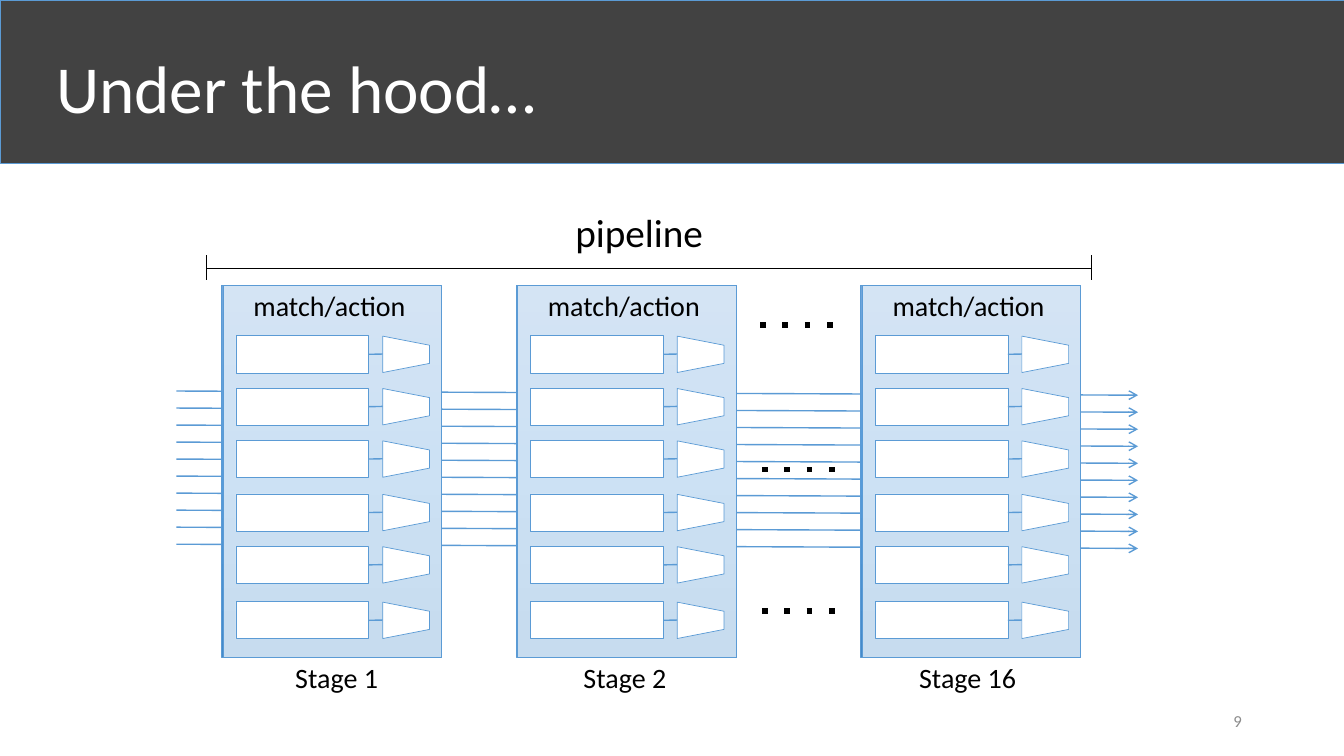
from copy import deepcopy

from lxml.etree import SubElement
from pptx import Presentation
from pptx.dml.color import RGBColor
from pptx.enum.shapes import MSO_CONNECTOR, MSO_SHAPE
from pptx.enum.text import MSO_ANCHOR, MSO_AUTO_SIZE, PP_ALIGN
from pptx.oxml.ns import qn
from pptx.util import Pt

COLORS = {
    "banner": "424242",
    "blue": "5B9BD5",
    "black": "000000",
    "white": "FFFFFF",
    "number": "8C8C8C",
    "gradient_top": "71A6DB",
    "gradient_middle": "559BDB",
    "gradient_bottom": "448ACA",
}

presentation = Presentation()
presentation.slide_width = Pt(960)
presentation.slide_height = Pt(540)
slide = presentation.slides.add_slide(presentation.slide_layouts[6])


def add_box(left, top, width, height, fill="white", preset=MSO_SHAPE.RECTANGLE):
    shape = slide.shapes.add_shape(preset, Pt(left), Pt(top), Pt(width), Pt(height))
    shape.shadow.inherit = False
    shape.fill.solid()
    shape.fill.fore_color.rgb = RGBColor.from_string(COLORS[fill])
    shape.line.color.rgb = RGBColor.from_string(COLORS["blue"])
    shape.line.width = Pt(0.5)
    return shape


def add_line(start_x, start_y, end_x, end_y, color="blue", width=1, dash=None, arrow=None):
    connector = slide.shapes.add_connector(
        MSO_CONNECTOR.STRAIGHT, Pt(start_x), Pt(start_y), Pt(end_x), Pt(end_y))
    connector.line.color.rgb = RGBColor.from_string(COLORS[color])
    connector.line.width = Pt(width)
    properties = connector._element.spPr
    outline = properties.find(qn("a:ln"))
    if dash:
        SubElement(outline, qn("a:prstDash"), val=dash)
    if arrow:
        SubElement(outline, qn("a:tailEnd"), type=arrow)
    SubElement(properties, qn("a:effectLst"))
    return connector


# Title banner
add_box(0, 0, 960, 116.64, "banner")

# Ten data lanes running behind the stages
for lane in range(10):
    lane_y = 279.3 + lane * 12.16
    add_line(126, lane_y, 812.9, lane_y + 3, arrow="arrow")

# Dots standing for the stages left out
for dots_x, dots_y in [(542.9, 232.3), (544.3, 335.5), (544.3, 436.3)]:
    add_line(dots_x, dots_y, dots_x + 62, dots_y, "black", 4, dash="dot")

# Pipeline bracket
bracket_left, bracket_right = 147.6, 779.8
for bracket_x in (bracket_left, bracket_right):
    add_line(bracket_x, 182.2, bracket_x, 200.2, "black")
add_line(bracket_right, 192, bracket_left, 192, "black")

# Stages: name, left edge, left edge and width of the caption
stages = [
    ("Stage 1", 158.4, 203.8, 74.2),
    ("Stage 2", 368.7, 409.7, 77),
    ("Stage 16", 614.9, 649.4, 85),
]
row_tops = [239.8, 277.2, 314.6, 352.8, 390.2, 429.8]
row_height = 26.6
trapezoid_width, trapezoid_height = 26, 33.4
gradient = [(0, "gradient_top"), (0.5, "gradient_middle"), (1, "gradient_bottom")]

for name, stage_left, caption_left, caption_width in stages:
    # Gradient panel with a translucent white veil
    panel = add_box(stage_left, 203.8, 157, 265.7)
    panel.fill.gradient()
    panel.fill.gradient_angle = 270
    stop_list = panel._element.spPr.find(".//" + qn("a:gsLst"))
    stop_list.append(deepcopy(stop_list[-1]))
    for stop, (position, color) in zip(panel.fill.gradient_stops, gradient):
        stop.position = position
        stop.color.rgb = RGBColor.from_string(COLORS[color])
    veil = add_box(stage_left + 0.9, 203.8, 156.1, 265.7)
    veil_color = veil._element.spPr.find(qn("a:solidFill"))[0]
    SubElement(veil_color, qn("a:alpha"), val="70000")

    # Match tables wired to their action units
    for row_top in row_tops:
        middle = row_top + row_height / 2
        match = add_box(stage_left + 10.1, row_top, 95, row_height)
        action = add_box(stage_left + 118.7, middle - trapezoid_height / 2,
                         trapezoid_width, trapezoid_height, preset=MSO_SHAPE.TRAPEZOID)
        action.rotation = 90
        wire = add_line(stage_left + 105.1, middle, stage_left + 115, middle - 0.2)
        wire.begin_connect(match, 3)

# Texts: wording, place, size, colour and further formats
wide_margins = {"margin_left": Pt(10), "margin_right": Pt(10),
                "margin_top": Pt(5), "margin_bottom": Pt(5)}
fitted = {"auto_size": MSO_AUTO_SIZE.SHAPE_TO_FIT_TEXT}
unwrapped = {**fitted, "word_wrap": False}
centred = {"vertical_anchor": MSO_ANCHOR.MIDDLE}
texts = [
    ("Under the hood…", (33.1, 9.4, 828, 104.4), 48, "white", PP_ALIGN.LEFT, centred),
    ("9", (678.2, 500.4, 216, 28.8), 12, "number", PP_ALIGN.RIGHT, centred),
    ("pipeline", (352.1, 144, 208.8, 44.6), 28, "black", PP_ALIGN.CENTER,
     {**fitted, **wide_margins}),
]
for name, stage_left, caption_left, caption_width in stages:
    texts.append(("match/action", (stage_left + 12.6, 200.9, 138.2, 34.6), 20, "black",
                  PP_ALIGN.LEFT, {**unwrapped, **wide_margins}))
    texts.append((name, (caption_left, 468, caption_width, 31.7), 20, "black",
                  PP_ALIGN.LEFT, unwrapped))

for wording, place, size, color, alignment, formats in texts:
    text_box = slide.shapes.add_textbox(*[Pt(length) for length in place])
    frame = text_box.text_frame
    for attribute, value in {"word_wrap": True, **formats}.items():
        setattr(frame, attribute, value)
    paragraph = frame.paragraphs[0]
    paragraph.alignment = alignment
    run = paragraph.add_run()
    run.text = wording
    for attribute, value in {"name": "Calibri", "size": Pt(size)}.items():
        setattr(run.font, attribute, value)
    run.font.color.rgb = RGBColor.from_string(COLORS[color])

presentation.save("out.pptx")
